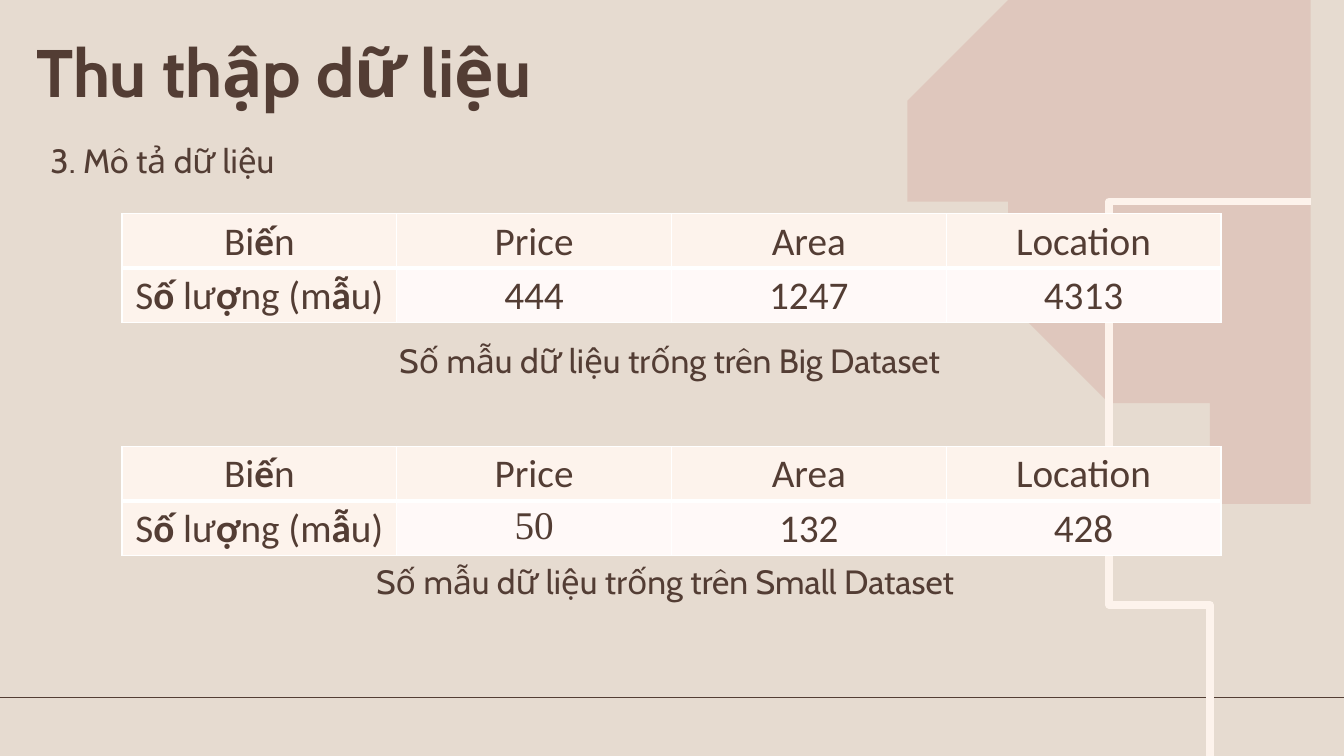
import dataclasses
import pptx
import pptx.dml.color
import pptx.enum.text
import pptx.oxml
import pptx.oxml.ns
import pptx.util

Inches = pptx.util.Inches
Pt = pptx.util.Pt
RGB = pptx.dml.color.RGBColor.from_string
qn = pptx.oxml.ns.qn
ALIGN = pptx.enum.text.PP_ALIGN


@dataclasses.dataclass(frozen=True)
class Theme:
    sand: str = "E6DBD0"
    brown: str = "533D34"
    rose: str = "CF9B92"
    cream: str = "FDF3EC"
    pale: str = "FFF9F8"
    white: str = "FFFFFF"
    font: str = "Cabin"
    grid: str = "Calibri"
    serif: str = "Times New Roman"
    title: float = 48
    body: float = 24
    cell: float = 28


THEME = Theme()
WIDE, HIGH = 13.33, 7.5

# Knots of the two curves on the right
BLOB = [(9.67, 0), (9.5, 0.48), (9.46, 1.01), (9.5, 1.65), (9.65, 2.23),
        (9.89, 2.76), (10.21, 3.22), (10.61, 3.62), (11.05, 3.95),
        (11.56, 4.25), (12.08, 4.53), (12.74, 4.84), (13.33, 5.11)]
SWIRL = [(12.14, 7.5), (11.91, 7.15), (11.68, 6.72), (11.41, 6.12),
         (11.16, 5.52), (10.96, 4.99), (10.82, 4.5), (10.77, 4.04),
         (10.8, 3.59), (10.91, 3.19), (11.1, 2.8), (11.33, 2.47),
         (11.59, 2.2), (11.95, 1.97), (12.44, 1.84), (12.88, 1.91),
         (13.33, 2.14)]


def smooth(knots, steps=6):
    """Points on a Catmull-Rom curve through the knots."""
    ends = [knots[0], *knots, knots[-1]]
    points = [knots[0]]
    for a, b, c, d in zip(ends, ends[1:], ends[2:], ends[3:]):
        for step in range(1, steps + 1):
            t = step / steps
            points.append(tuple(
                q + t / 2 * (r - p + t * (2 * p - 5 * q + 4 * r - s
                                          + t * (3 * (q - r) + s - p)))
                for p, q, r, s in zip(a, b, c, d)))
    return points


def outline(slide, points, close):
    pen = slide.shapes.build_freeform(*points[0], scale=Inches(1))
    pen.add_line_segments(points[1:], close=close)
    shape = pen.convert_to_shape()
    shape.shadow.inherit = False
    return shape


def add_decor(slide):
    # Rule above the foot
    rule = slide.shapes.add_connector(
        1, 0, Inches(6.92), Inches(WIDE), Inches(6.92))
    rule.line.color.rgb = RGB(THEME.brown)
    rule.line.width = Pt(1.25)
    rule._element.spPr.append(pptx.oxml.parse_xml(
        f"<a:effectLst {pptx.oxml.ns.nsdecls('a')}/>"))

    # Rose corner, see-through
    blob = outline(slide, smooth(BLOB) + [(WIDE, 0)], True)
    blob.fill.solid()
    blob.fill.fore_color.rgb = RGB(THEME.rose)
    blob.line.fill.background()
    color = blob._element.spPr.find(qn("a:solidFill"))[0]
    color.makeelement(qn("a:alpha"), {})
    pptx.oxml.parse_xml
    alpha = pptx.oxml.parse_xml(
        f"<a:alpha {pptx.oxml.ns.nsdecls('a')} val='30000'/>")
    color.append(alpha)

    # Cream swirl
    swirl = outline(slide, smooth(SWIRL), False)
    swirl.fill.background()
    swirl.line.color.rgb = RGB(THEME.cream)
    swirl.line.width = Pt(5.5)


def style(para, size, font, before=1, bold=False):
    para.space_before = Pt(before)
    para.font.size = Pt(size)
    para.font.name = font
    para.font.bold = bold
    para.font.color.rgb = RGB(THEME.brown)


def fill_text(shape, box, text, size, bold=False, inset=0.01):
    shape.left, shape.top, shape.width, shape.height = map(Inches, box)
    frame = shape.text_frame
    frame.word_wrap = True
    frame.auto_size = pptx.enum.text.MSO_AUTO_SIZE.NONE
    frame.vertical_anchor = pptx.enum.text.MSO_ANCHOR.TOP
    frame.margin_left = Inches(inset)
    frame.margin_top = Inches(0.01)
    frame.margin_right = frame.margin_bottom = 0
    para = frame.paragraphs[0]
    para.text = text
    para.alignment = ALIGN.LEFT
    style(para, size, THEME.font, bold=bold)


def add_note(slide, box, text):
    shape = slide.shapes.add_textbox(0, 0, 0, 0)
    fill_text(shape, box, text, THEME.body)


def add_edges(cell, top, bottom):
    props = cell._tc.get_or_add_tcPr()
    edges = {"L": 1, "R": 1, "T": top, "B": bottom}
    for place, (side, width) in enumerate(edges.items()):
        props.insert(place, pptx.oxml.parse_xml(
            f"<a:ln{side} {pptx.oxml.ns.nsdecls('a')} w='{Pt(width)}'>"
            f"<a:solidFill><a:srgbClr val='{THEME.white}'/></a:solidFill>"
            f"</a:ln{side}>"))


def add_grid(slide, box, counts, fonts):
    """Sample counts by variable; text between stars is bold."""
    rows = [["Bi*ế*n", "Price", "Area", "Location"],
            ["S*ố *lư*ợ*ng (m*ẫ*u)", *counts]]
    table = slide.shapes.add_table(2, 4, *map(Inches, box)).table
    table.first_row = table.horz_banding = False
    for r, row in enumerate(rows):
        for c, text in enumerate(row):
            cell = table.cell(r, c)
            cell.margin_left = cell.margin_right = cell.margin_bottom = 0
            cell.margin_top = Inches(0.04)
            cell.fill.solid()
            cell.fill.fore_color.rgb = RGB(
                THEME.pale if r and c else THEME.cream)
            add_edges(cell, *((1, 3), (3, 1))[r])
            para = cell.text_frame.paragraphs[0]
            para.alignment = ALIGN.CENTER
            style(para, THEME.cell, fonts.get((r, c), THEME.grid), before=3)
            for part, piece in enumerate(text.split("*")):
                run = para.add_run()
                run.text = piece
                if part % 2:
                    run.font.bold = True


def add_data(deck):
    slide = deck.slides.add_slide(deck.slide_layouts[5])
    slide.background.fill.solid()
    slide.background.fill.fore_color.rgb = RGB(THEME.sand)
    add_decor(slide)
    fill_text(slide.shapes.title, (0.26, 0.29, 6.34, 0.83),
              "Thu thập dữ liệu", THEME.title, bold=True, inset=0.1)
    add_note(slide, (0.49, 1.38, 2.29, 0.43), "3. Mô tả dữ liệu")

    # Tables with their captions
    add_grid(slide, (1.21, 2.12, 10.9, 1.08), ["444", "1247", "4313"], {})
    add_note(slide, (3.95, 3.36, 5.44, 0.43),
             "Số mẫu dữ liệu trống trên Big Dataset")
    add_grid(slide, (1.21, 4.43, 10.9, 1.08), ["50", "132", "428"],
             {(1, 1): THEME.serif})
    add_note(slide, (3.72, 5.55, 5.89, 0.42),
             "Số mẫu dữ liệu trống trên Small Dataset")


def main():
    deck = pptx.Presentation()
    deck.slide_width = Inches(WIDE)
    deck.slide_height = Inches(HIGH)
    add_data(deck)
    deck.save("out.pptx")


if __name__ == "__main__":
    main()
